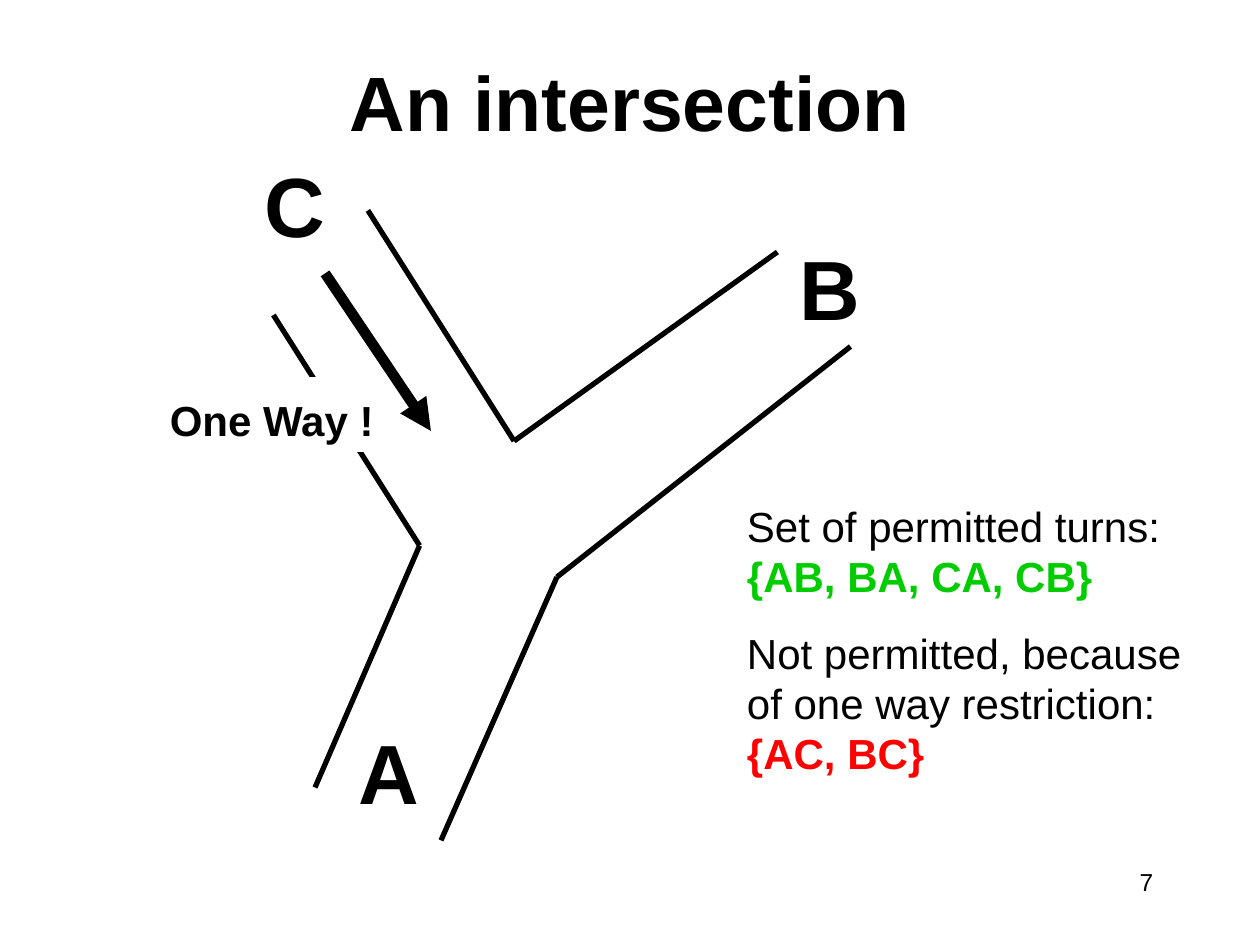
import itertools

import pptx
import pptx.dml.color
import pptx.enum.shapes
import pptx.enum.text
import pptx.oxml.xmlchemy
import pptx.util

Inches = pptx.util.Inches
Pt = pptx.util.Pt
RGBColor = pptx.dml.color.RGBColor
OxmlElement = pptx.oxml.xmlchemy.OxmlElement
ALIGN = pptx.enum.text.PP_ALIGN
ANCHOR = pptx.enum.text.MSO_ANCHOR

BLACK = RGBColor(0, 0, 0)
WHITE = RGBColor(255, 255, 255)
GREEN = RGBColor(0, 204, 0)
RED = RGBColor(255, 0, 0)

KERBS = [
    [(0.92, 1.33), (2.08, 3.16), (1.25, 5.08)],
    [(1.67, 0.5), (2.83, 2.33), (4.92, 0.83)],
    [(2.25, 5.5), (3.17, 3.41), (5.5, 1.58)],
]
ROAD_LABELS = [("A", 1.5, 4.5), ("B", 5, 0.66), ("C", 0.75, 0)]
TURNS = [
    ("Set of permitted turns:", "{AB, BA, CA, CB}", GREEN),
    ("Not permitted, because of one way restriction:", "{AC, BC}", RED),
]


def add_frame(page, box, anchor=ANCHOR.TOP):
    """Add a wrapping text box and return its text frame."""
    frame = page.shapes.add_textbox(*map(Inches, box)).text_frame
    frame.word_wrap = True
    frame.vertical_anchor = anchor
    return frame


def add_span(para, text, size, bold=False, color=BLACK):
    """Append a formatted run to a paragraph."""
    span = para.add_run()
    span.text = text
    formats = {"name": "Arial", "size": Pt(size), "bold": bold}
    for name, value in formats.items():
        setattr(span.font, name, value)
    span.font.color.rgb = color


def add_label(page, box, text, size, bold=True, align=ALIGN.LEFT, anchor=ANCHOR.TOP):
    """Add a text box holding a single formatted line."""
    para = add_frame(page, box, anchor).paragraphs[0]
    para.alignment = align
    add_span(para, text, size, bold)


def add_line(page, start, end, width):
    """Add a plain black straight connector."""
    line = page.shapes.add_connector(
        pptx.enum.shapes.MSO_CONNECTOR.STRAIGHT, *map(Inches, (*start, *end))
    )
    line.line.width = Pt(width)
    line.line.color.rgb = BLACK
    properties = line.line._get_or_add_ln().getparent()
    properties.append(OxmlElement("a:effectLst"))
    return line


def add_intersection(page, left, top):
    """Draw the three roads, their letters and the one-way sign."""

    def place(point):
        """Shift a point into the region."""
        return left + point[0], top + point[1]

    for kerb in KERBS:
        for start, end in itertools.pairwise(map(place, kerb)):
            add_line(page, start, end, 3)

    arrow = add_line(page, place((1.33, 1)), place((2.17, 2.25)), 6)
    head = OxmlElement("a:tailEnd")
    head.set("type", "triangle")
    arrow.line._get_or_add_ln().append(head)

    for letter, x, y in ROAD_LABELS:
        add_label(page, (*place((x, y)), 0.67, 0.9), letter, 48)

    gap = page.shapes.add_shape(
        pptx.enum.shapes.MSO_SHAPE.RECTANGLE,
        *map(Inches, (*place((0.58, 1.83)), 1.17, 0.58)),
    )
    gap.shadow.inherit = False
    gap.fill.solid()
    gap.fill.fore_color.rgb = WHITE
    gap.line.color.rgb = WHITE
    gap.line.width = Pt(0.75)
    add_label(page, (*place((0, 1.91)), 2, 0.5), "One Way !", 24)


def add_turns(page, box):
    """List the permitted and forbidden turns."""
    frame = add_frame(page, box)
    for index, (heading, turns, color) in enumerate(TURNS):
        para = frame.add_paragraph() if index else frame.paragraphs[0]
        para.space_before = Pt(15)
        add_span(para, heading, 24)
        para.add_line_break()
        add_span(para, turns, 24, True, color)


def main():
    """Build and save the deck."""
    deck = pptx.Presentation()
    deck.slide_width, deck.slide_height = Inches(10), Inches(7.5)
    page = deck.slides.add_slide(deck.slide_layouts[6])
    add_label(page, (0.75, 0.17, 8.5, 1.25), "An intersection", 44,
              align=ALIGN.CENTER, anchor=ANCHOR.MIDDLE)
    add_intersection(page, 1.25, 1.17)
    add_turns(page, (5.83, 3.92, 3.75, 2.31))
    add_label(page, (7.17, 6.83, 2.08, 0.5), "7", 14, bold=False, align=ALIGN.RIGHT)
    deck.save("out.pptx")


if __name__ == "__main__":
    main()
